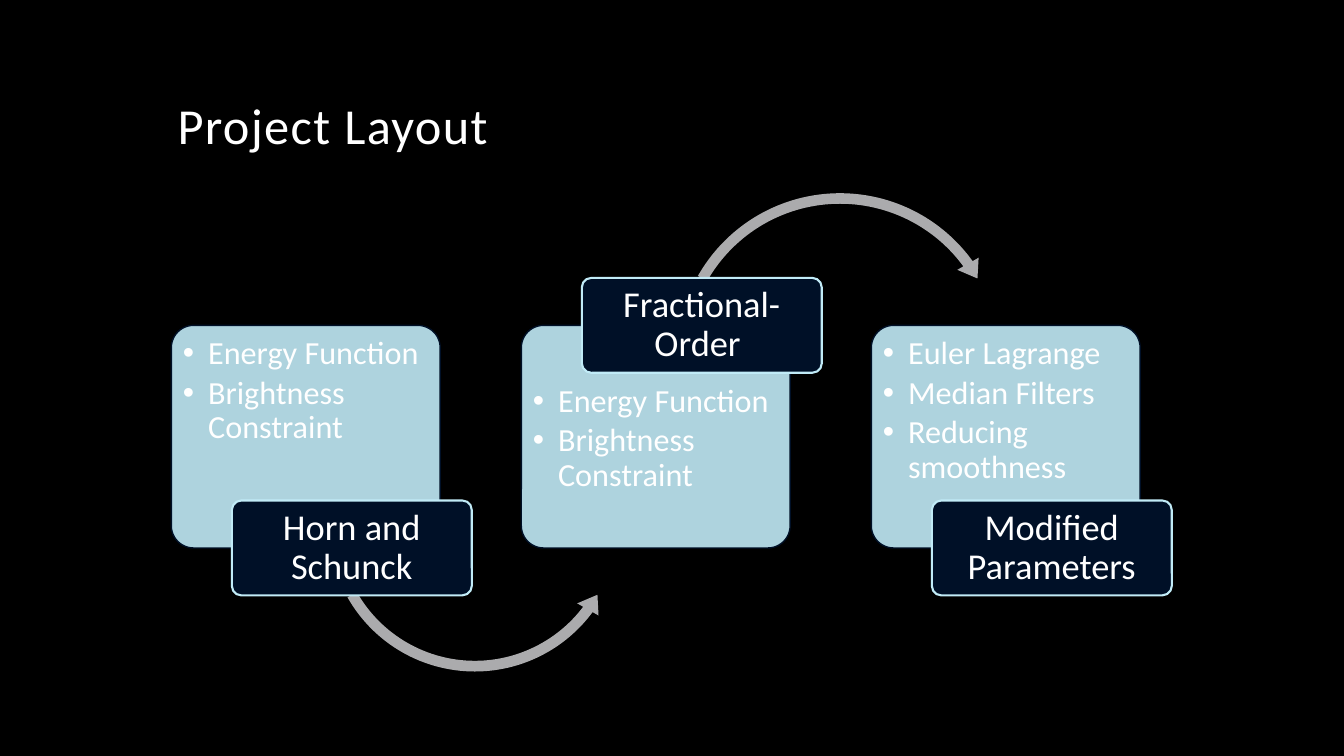
import pptx
import pptx.util
import pptx.dml.color
import pptx.enum.shapes
import pptx.enum.text
import pptx.oxml.ns
from lxml import etree

Pt = pptx.util.Pt
SHAPES = pptx.enum.shapes.MSO_SHAPE
ANCHOR = pptx.enum.text.MSO_ANCHOR
ALIGN = pptx.enum.text.PP_ALIGN
qn = pptx.oxml.ns.qn

COLORS = {"background": "000000", "card": "C1EBF7", "label": "001027",
          "arrow": "ABABAD", "text": "FFFFFF"}

CARD_WIDTH, CARD_HEIGHT, CARD_PITCH = 192, 159, 250
LABEL_WIDTH, LABEL_HEIGHT, LABEL_SHIFT = 171.4, 67.8, 43.2

# Arrow values: preset, left and top from the card's corner, size, adjustments
ARROW_BELOW = (SHAPES.LEFT_CIRCULAR_ARROW, 107.3, 33.2, 219,
               (0.035, 4.277, 22.032, 90.245, 0.04))
ARROW_ABOVE = (SHAPES.CIRCULAR_ARROW, 105.9, -99.4, 243.4,
               (0.031, 3.813, 194.431, 125.755, 0.036))

STAGES = [
    {"label": "Horn and Schunck", "label_on_top": False, "arrow": ARROW_BELOW,
     "points": ["Energy Function", "Brightness Constraint"]},
    {"label": "Fractional-Order ", "label_on_top": True, "arrow": ARROW_ABOVE,
     "points": ["Energy Function", "Brightness Constraint"]},
    {"label": "Modified Parameters", "label_on_top": False, "arrow": None,
     "points": ["Euler Lagrange", "Median Filters", "Reducing smoothness"]},
]


def color(name):
    return pptx.dml.color.RGBColor.from_string(COLORS[name])


def apply(target, **values):
    for name, value in values.items():
        setattr(target, name, value)


def add_shape(slide, preset, box, fill, adjustments, line=None, line_width=1):
    shape = slide.shapes.add_shape(preset, *(Pt(length) for length in box))
    shape.shadow.inherit = False
    for index, value in enumerate(adjustments):
        shape.adjustments[index] = value
    shape.fill.solid()
    shape.fill.fore_color.rgb = color(fill)
    if line:
        shape.line.color.rgb = color(line)
        shape.line.width = Pt(line_width)
    else:
        shape.line.fill.background()
    return shape


def format_frame(frame, anchor, left, top, right, bottom):
    apply(frame, word_wrap=True, vertical_anchor=anchor,
          auto_size=pptx.enum.text.MSO_AUTO_SIZE.NONE,
          margin_left=Pt(left), margin_top=Pt(top),
          margin_right=Pt(right), margin_bottom=Pt(bottom))


def write(paragraph, text, size, alignment, space_after=0):
    apply(paragraph, alignment=alignment, line_spacing=0.9, space_after=Pt(space_after))
    run = paragraph.add_run()
    run.text = text
    apply(run.font, name="Calibri", size=Pt(size))
    run.font.color.rgb = color("text")
    return run


def add_bullet(paragraph):
    properties = paragraph._p.get_or_add_pPr()
    properties.set("marL", str(Pt(18)))
    properties.set("indent", str(-Pt(18)))
    etree.SubElement(properties, qn("a:buFont")).set("typeface", "Arial")
    etree.SubElement(properties, qn("a:buChar")).set("char", "•")


def add_title(slide, text, left, top, width, height):
    title = slide.shapes.title
    apply(title, left=Pt(left), top=Pt(top), width=Pt(width), height=Pt(height))
    format_frame(title.text_frame, ANCHOR.BOTTOM, 7.2, 3.6, 7.2, 3.6)
    run = write(title.text_frame.paragraphs[0], text, 36, ALIGN.LEFT)
    run._r.get_or_add_rPr().set("spc", "100")


def add_card(slide, points, label_on_top, left, top):
    card = add_shape(slide, SHAPES.ROUNDED_RECTANGLE,
                     (left, top, CARD_WIDTH, CARD_HEIGHT), "card", [0.1], "label")
    fill_color = card._element.spPr.find(qn("a:solidFill"))[0]
    etree.SubElement(fill_color, qn("a:alpha")).set("val", "90000")
    frame = card.text_frame
    text_top = 3.6 + (LABEL_HEIGHT / 2 if label_on_top else 0)
    format_frame(frame, ANCHOR.TOP, 3.6, text_top, 3.6, 3.6)
    for index, point in enumerate(points):
        paragraph = frame.add_paragraph() if index else frame.paragraphs[0]
        add_bullet(paragraph)
        write(paragraph, point, 23, ALIGN.LEFT, 3.4)


def add_label(slide, text, left, top):
    label = add_shape(slide, SHAPES.ROUNDED_RECTANGLE,
                      (left, top, LABEL_WIDTH, LABEL_HEIGHT), "label", [0.1], "card", 1.5)
    format_frame(label.text_frame, ANCHOR.MIDDLE, 3.6, 2.9, 3.6, 2.9)
    write(label.text_frame.paragraphs[0], text, 26, ALIGN.CENTER)


def add_stage(slide, stage, left, top):
    """Card, arrow to the next stage, and a label centred on a card edge."""
    add_card(slide, stage["points"], stage["label_on_top"], left, top)
    if stage["arrow"]:
        preset, shift_x, shift_y, size, adjustments = stage["arrow"]
        add_shape(slide, preset, (left + shift_x, top + shift_y, size, size),
                  "arrow", adjustments)
    edge = top if stage["label_on_top"] else top + CARD_HEIGHT
    add_label(slide, stage["label"], left + LABEL_SHIFT, edge - LABEL_HEIGHT / 2)


def add_process(slide, left, top):
    for index, stage in enumerate(STAGES):
        add_stage(slide, stage, left + index * CARD_PITCH, top)


def main():
    presentation = pptx.Presentation()
    apply(presentation, slide_width=Pt(960), slide_height=Pt(540))
    slide = presentation.slides.add_slide(presentation.slide_layouts[5])
    slide.background.fill.solid()
    slide.background.fill.fore_color.rgb = color("background")
    add_title(slide, "Project Layout", 119.6, 30.2, 720, 84.2)
    add_process(slide, 122.4, 232.4)
    presentation.save("out.pptx")


if __name__ == "__main__":
    main()
